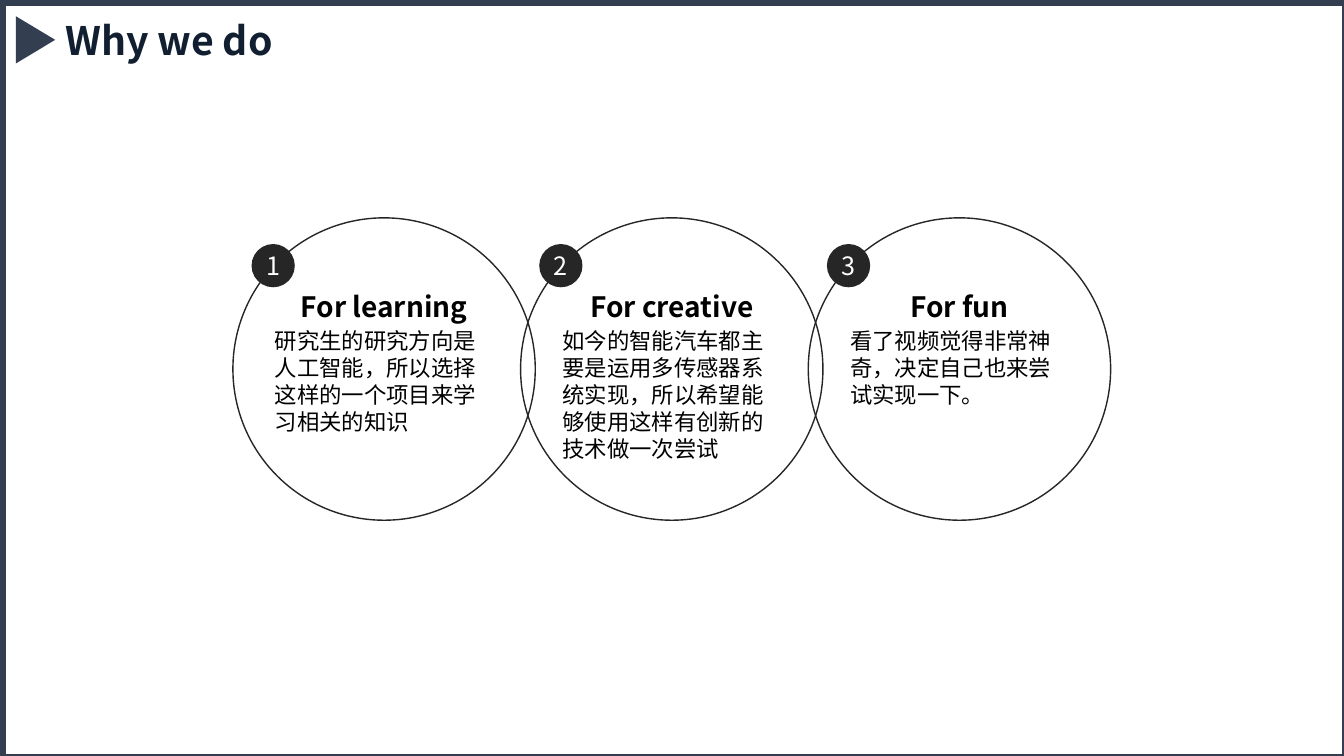
from dataclasses import dataclass

import pptx
import pptx.dml.color
import pptx.enum.shapes
import pptx.enum.text
import pptx.oxml.ns
import pptx.util
from lxml import etree

Cm = pptx.util.Cm
Pt = pptx.util.Pt
Shape = pptx.enum.shapes.MSO_SHAPE
Align = pptx.enum.text.PP_ALIGN
Anchor = pptx.enum.text.MSO_ANCHOR


@dataclass(frozen=True)
class Theme:
    font: str = "Noto Sans CJK SC"
    title_color: str = "121F30"
    frame: str = "333F50"
    dark: str = "262626"
    text: str = "000000"
    light: str = "FFFFFF"
    title_size: int = 28
    heading_size: int = 20
    badge_size: int = 18
    body_size: int = 16
    line_height: float = 1.21


@dataclass(frozen=True)
class Box:
    left: float
    top: float
    width: float
    height: float

    def lengths(self) -> tuple:
        return Cm(self.left), Cm(self.top), Cm(self.width), Cm(self.height)


@dataclass(frozen=True)
class Reason:
    heading: str
    body: str


THEME = Theme()
SLIDE_W, SLIDE_H = 33.87, 19.05
CIRCLE_LEFT, CIRCLE_TOP, CIRCLE_SIZE, CIRCLE_PITCH = 5.87, 5.49, 7.62, 7.25
REASONS = [
    Reason("For learning", "研究生的研究方向是人工智能，所以选择这样的一个项目来学习相关的知识"),
    Reason("For creative", "如今的智能汽车都主要是运用多传感器系统实现，所以希望能够使用这样有创新的技术做一次尝试"),
    Reason("For fun", "看了视频觉得非常神奇，决定自己也来尝试实现一下。"),
]


def rgb(color: str) -> pptx.dml.color.RGBColor:
    return pptx.dml.color.RGBColor.from_string(color)


def write(tf, text: str, size: int, color: str, bold: bool = False,
          align=Align.LEFT, spaced: bool = True) -> None:
    """Write one run, with its font set for Latin and East Asian letters."""
    p = tf.paragraphs[0]
    p.alignment = align
    if spaced:
        p.line_spacing = Pt(round(size * THEME.line_height, 1))
    r = p.add_run()
    r.text = text
    r.font.size = Pt(size)
    r.font.bold = bold
    r.font.color.rgb = rgb(color)
    r.font.name = THEME.font
    ea = etree.SubElement(r.font._element, pptx.oxml.ns.qn("a:ea"))
    ea.set("typeface", THEME.font)


def add_shape(s, kind, box: Box, fill: str = "", line: str = "", weight: float = 1):
    sp = s.shapes.add_shape(kind, *box.lengths())
    sp.shadow.inherit = False
    if fill:
        sp.fill.solid()
        sp.fill.fore_color.rgb = rgb(fill)
    else:
        sp.fill.background()
    if line:
        sp.line.color.rgb = rgb(line)
        sp.line.width = Pt(weight)
    else:
        sp.line.fill.background()
    return sp


def add_text(s, box: Box, text: str, size: int, bold: bool = False, align=Align.LEFT) -> None:
    tf = s.shapes.add_textbox(*box.lengths()).text_frame
    tf.word_wrap = True
    write(tf, text, size, THEME.text, bold, align)


def add_title(s, text: str) -> None:
    sp = s.shapes.title
    sp.left, sp.top, sp.width, sp.height = Box(1.4, 0.28, 10.64, 1.45).lengths()
    tf = sp.text_frame
    tf.auto_size = pptx.enum.text.MSO_AUTO_SIZE.NONE
    tf.vertical_anchor = Anchor.TOP
    write(tf, text, THEME.title_size, THEME.title_color, bold=True)


def add_reason(s, index: int, reason: Reason) -> None:
    left = CIRCLE_LEFT + index * CIRCLE_PITCH
    add_shape(s, Shape.OVAL, Box(left, CIRCLE_TOP, CIRCLE_SIZE, CIRCLE_SIZE), line=THEME.dark)
    add_text(s, Box(left + 0.81, 8.1, 6, 3.7), reason.body, THEME.body_size)
    add_text(s, Box(left, 7.16, CIRCLE_SIZE, 1.12), reason.heading,
             THEME.heading_size, bold=True, align=Align.CENTER)
    badge = add_shape(s, Shape.OVAL, Box(left + 0.47, 6.15, 1.09, 1.09), fill=THEME.dark)
    tf = badge.text_frame
    tf.margin_left = tf.margin_right = tf.margin_top = tf.margin_bottom = 0
    tf.vertical_anchor = Anchor.MIDDLE
    write(tf, str(index + 1), THEME.badge_size, THEME.light, align=Align.CENTER, spaced=False)


def main() -> None:
    prs = pptx.Presentation()
    prs.slide_width, prs.slide_height = Cm(SLIDE_W), Cm(SLIDE_H)
    s = prs.slides.add_slide(prs.slide_layouts[5])
    add_title(s, "Why we do")
    add_shape(s, Shape.RECTANGLE, Box(0.05, 0.05, SLIDE_W, SLIDE_H), line=THEME.frame, weight=6)
    marker = add_shape(s, Shape.ISOSCELES_TRIANGLE, Box(0.3, 0.51, 1.19, 0.99), fill=THEME.frame)
    marker.rotation = 90
    for index, reason in enumerate(REASONS):
        add_reason(s, index, reason)
    prs.save("out.pptx")


if __name__ == "__main__":
    main()
